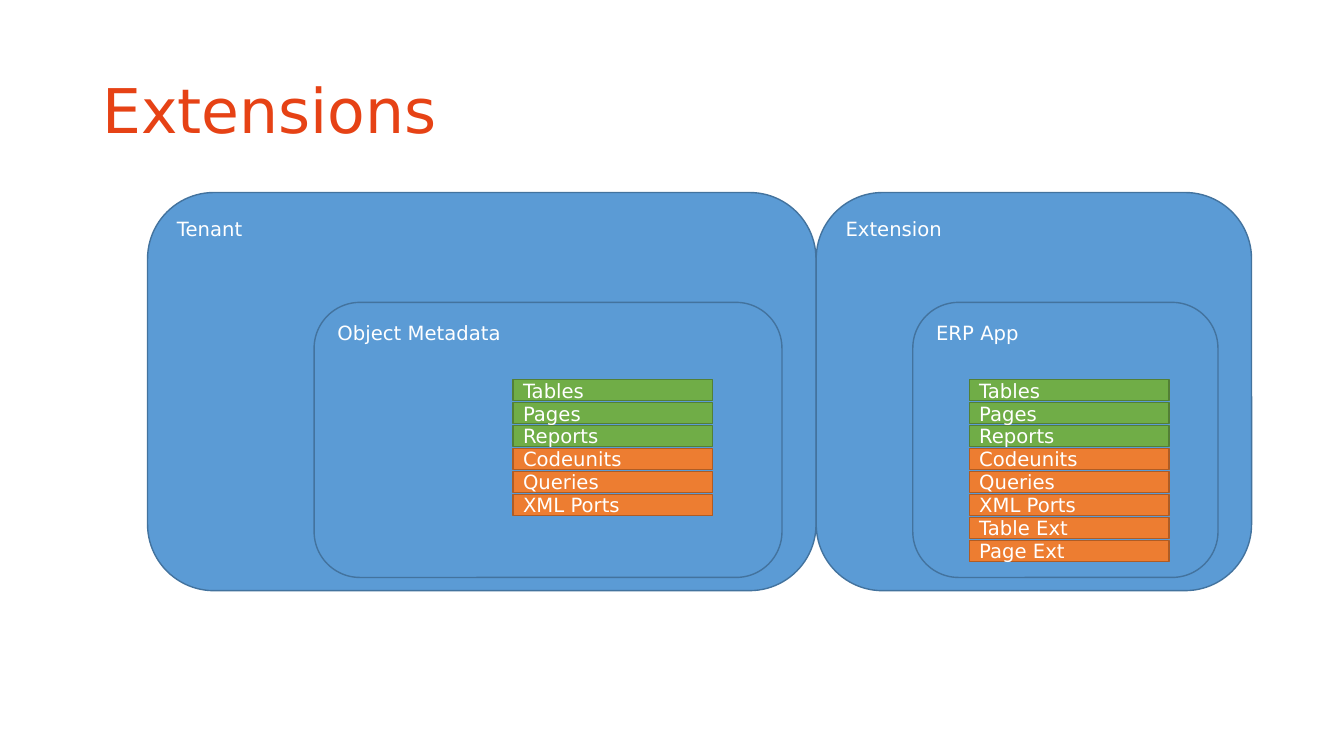
from dataclasses import dataclass

from pptx import Presentation
from pptx.dml.color import RGBColor as Rgb
from pptx.enum.shapes import MSO_SHAPE as Kind
from pptx.enum.text import MSO_ANCHOR as Anchor, MSO_AUTO_SIZE as Fit, PP_ALIGN as Align
from pptx.shapes.autoshape import Shape
from pptx.slide import Slide
from pptx.text.text import TextFrame
from pptx.util import Pt


@dataclass(frozen=True)
class Paint:
    fill: str
    line: str


@dataclass(frozen=True)
class Theme:
    font: str = "DejaVu Sans"
    title: str = "E64215"
    text: str = "FFFFFF"
    big: float = 44
    small: float = 14
    edge: float = 1
    blue: Paint = Paint("5B9BD5", "43739E")
    green: Paint = Paint("70AD47", "538035")
    orange: Paint = Paint("ED7D31", "AF5C24")


@dataclass(frozen=True)
class Box:
    left: float
    top: float
    width: float
    height: float


@dataclass(frozen=True)
class Group:
    name: str
    outer: Box
    store: str
    inner: Box
    left: float  # left edge of the object rows
    items: tuple[str, ...]


THEME = Theme()

# Object rows: first top, step, width and height
TOP, STEP, WIDE, HIGH = 271.2, 16.4, 142.6, 15.1
GREEN = ("Tables", "Pages", "Reports")
BASE = GREEN + ("Codeunits", "Queries", "XML Ports")

GROUPS = (
    Group("Tenant", Box(105.4, 137.5, 477.5, 284.4),
          "Object Metadata", Box(224.4, 216, 334.2, 196.5), 366.5, BASE),
    Group("Extension", Box(583, 137.5, 311, 284.4),
          "ERP App", Box(652, 216, 218, 196.5), 692.3,
          BASE + ("Table Ext", "Page Ext")),
)


def write(frame: TextFrame, text: str, size: float, color: str, anchor: Anchor) -> None:
    frame.text = text
    frame.word_wrap = True
    frame.vertical_anchor = anchor
    para = frame.paragraphs[0]
    para.alignment = Align.LEFT
    para.font.name = THEME.font
    para.font.size = Pt(size)
    para.font.color.rgb = Rgb.from_string(color)


def place(shape: Shape, box: Box) -> None:
    shape.left, shape.top = Pt(box.left), Pt(box.top)
    shape.width, shape.height = Pt(box.width), Pt(box.height)


def draw(slide: Slide, kind: Kind, box: Box, text: str, paint: Paint, anchor: Anchor) -> None:
    shape = slide.shapes.add_shape(kind, 0, 0, 0, 0)
    place(shape, box)
    shape.shadow.inherit = False
    shape.fill.solid()
    shape.fill.fore_color.rgb = Rgb.from_string(paint.fill)
    shape.line.color.rgb = Rgb.from_string(paint.line)
    shape.line.width = Pt(THEME.edge)
    write(shape.text_frame, text, THEME.small, THEME.text, anchor)


def show(slide: Slide, group: Group) -> None:
    # Nested containers
    for text, box in ((group.name, group.outer), (group.store, group.inner)):
        draw(slide, Kind.ROUNDED_RECTANGLE, box, text, THEME.blue, Anchor.TOP)
    # Stack of object types
    for row, item in enumerate(group.items):
        paint = THEME.green if item in GREEN else THEME.orange
        box = Box(group.left, TOP + row * STEP, WIDE, HIGH)
        draw(slide, Kind.RECTANGLE, box, item, paint, Anchor.MIDDLE)


def main() -> None:
    deck = Presentation()
    deck.slide_width, deck.slide_height = Pt(960), Pt(540)
    slide = deck.slides.add_slide(deck.slide_layouts[5])

    # Title
    title = slide.shapes.title
    place(title, Box(66, 28.8, 828, 104.4))
    write(title.text_frame, "Extensions", THEME.big, THEME.title, Anchor.MIDDLE)
    title.text_frame.auto_size = Fit.NONE
    title.text_frame.paragraphs[0].line_spacing = 0.9

    # Diagram
    for group in GROUPS:
        show(slide, group)
    deck.save("out.pptx")


if __name__ == "__main__":
    main()
